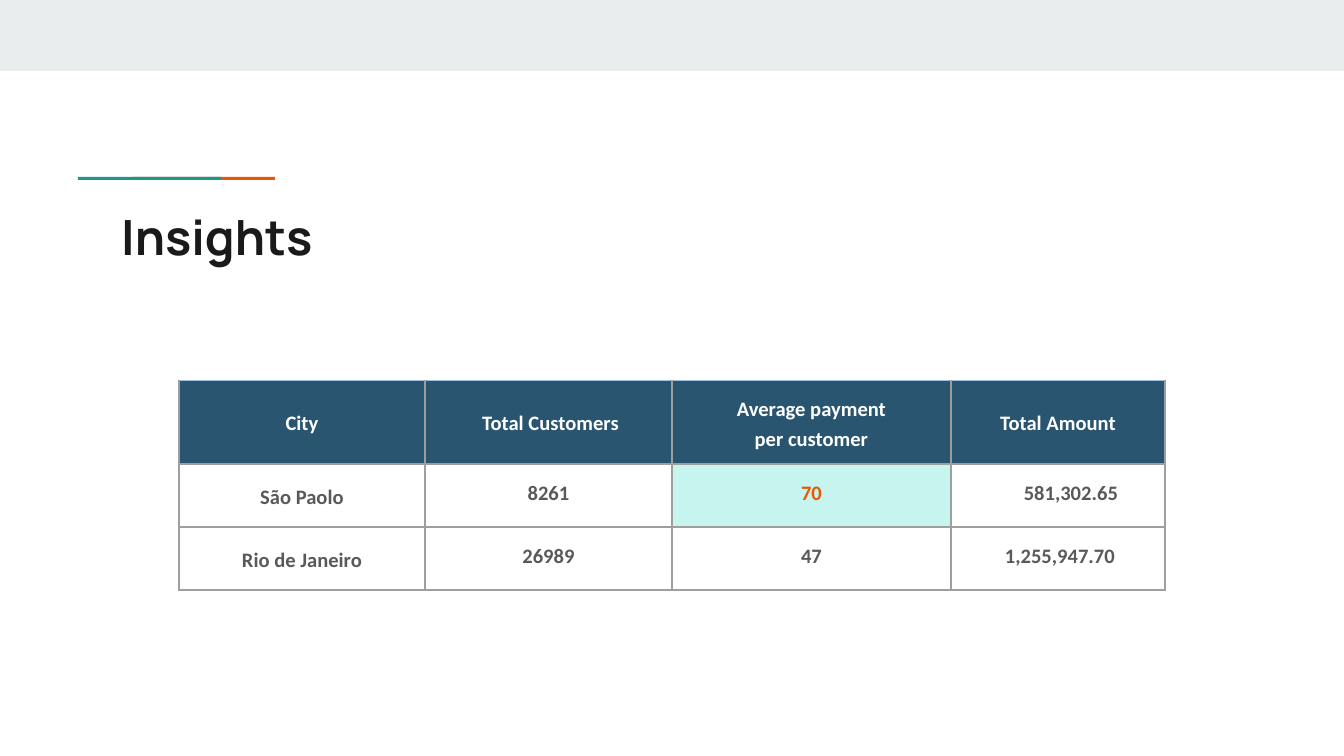
from lxml import etree
from pptx import Presentation
from pptx import util as u
from pptx.dml.color import RGBColor
from pptx.enum import shapes, text
from pptx.oxml.ns import qn

# Content
TITLE = "Insights"
HEADER = ["City", "Total Customers", "Average payment\nper customer", "Total Amount"]
CITIES = [
    ["São Paolo", "8261", "70", "581,302.65"],
    ["Rio de Janeiro", "26989", "47", "1,255,947.70"],
]
HIGHLIGHT = (1, 2)  # row and column of the emphasised figure
SHIFTS = {(0, 1): 4, (1, 3): 26, (2, 3): 4}  # extra left margin, px

# Geometry in px
SLIDE_W, SLIDE_H = 1344, 756
INSET = 13.44
COLUMNS = [246, 247, 279, 214]
ROWS = [84, 63, 63]
BARS = [  # left, top, width, height, colour
    (0, 0, SLIDE_W, 71, "E9EDEE"),
    (133, 177, 142, 3, "EB5600"),
    (78, 177, 143, 3, "1A9988"),
]

NAVY, MINT, ORANGE, GREY = "295570", "C6F5EF", "EB5600", "595959"
RULE, HEADER_TOP = ("9E9E9E", 0.75), ("9BC2E6", 0.5)


def px(length):
    return u.Emu(round(length * 914400 / 134.4))


def rgb(value):
    return RGBColor.from_string(value)


def write(frame, words, *, size, font, color, align=text.PP_ALIGN.LEFT, spacing=1.0):
    for i, line in enumerate(words.split("\n")):
        paragraph = frame.add_paragraph() if i else frame.paragraphs[0]
        paragraph.alignment = align
        paragraph.line_spacing = spacing
        run = paragraph.add_run()
        run.text = line
        run.font.size = u.Pt(size)
        run.font.name = font
        run.font.bold = True
        run.font.color.rgb = rgb(color)


def set_borders(cell, top):
    properties = cell._tc.get_or_add_tcPr()
    sides = [("a:lnL", RULE), ("a:lnR", RULE), ("a:lnT", top), ("a:lnB", RULE)]
    for position, (side, (color, width)) in enumerate(sides):
        line = etree.Element(qn(side), w=str(u.Pt(width)))
        fill = etree.SubElement(line, qn("a:solidFill"))
        etree.SubElement(fill, qn("a:srgbClr"), val=color)
        properties.insert(position, line)


deck = Presentation()
deck.slide_width, deck.slide_height = px(SLIDE_W), px(SLIDE_H)
slide = deck.slides.add_slide(deck.slide_layouts[6])

# Top band and accent rule
for left, top, width, height, color in BARS:
    bar = slide.shapes.add_shape(
        shapes.MSO_SHAPE.RECTANGLE, px(left), px(top), px(width), px(height))
    bar.shadow.inherit = False
    bar.fill.solid()
    bar.fill.fore_color.rgb = rgb(color)
    bar.line.fill.background()

# Title
title = slide.shapes.add_textbox(px(108), px(194), px(1142), px(79)).text_frame
title.word_wrap = True
title.margin_left = title.margin_right = px(INSET)
title.margin_top = title.margin_bottom = px(INSET)
write(title, TITLE, size=26, font="Manrope", color="1A1A1A")

# City table
table = slide.shapes.add_table(
    len(ROWS), len(COLUMNS), px(179), px(380), px(sum(COLUMNS)), px(sum(ROWS))).table
table.first_row = table.horz_banding = False
for column, width in zip(table.columns, COLUMNS):
    column.width = px(width)
for row, height in zip(table.rows, ROWS):
    row.height = px(height)

for r, values in enumerate([HEADER] + CITIES):
    for c, value in enumerate(values):
        cell = table.cell(r, c)
        if r == 0:
            fill, color = NAVY, "FFFFFF"
        elif (r, c) == HIGHLIGHT:
            fill, color = MINT, ORANGE
        else:
            fill, color = None, GREY
        if fill:
            cell.fill.solid()
            cell.fill.fore_color.rgb = rgb(fill)
        else:
            cell.fill.background()
        cell.margin_left = px(INSET + SHIFTS.get((r, c), 0))
        cell.margin_right = cell.margin_top = cell.margin_bottom = px(INSET)
        centred = r == 0 or c == 0
        cell.vertical_anchor = text.MSO_ANCHOR.MIDDLE if centred else text.MSO_ANCHOR.TOP
        write(cell.text_frame, value, size=11, font="Calibri", color=color,
              align=text.PP_ALIGN.CENTER, spacing=1.15)
        set_borders(cell, HEADER_TOP if r == 0 else RULE)

deck.save("out.pptx")
